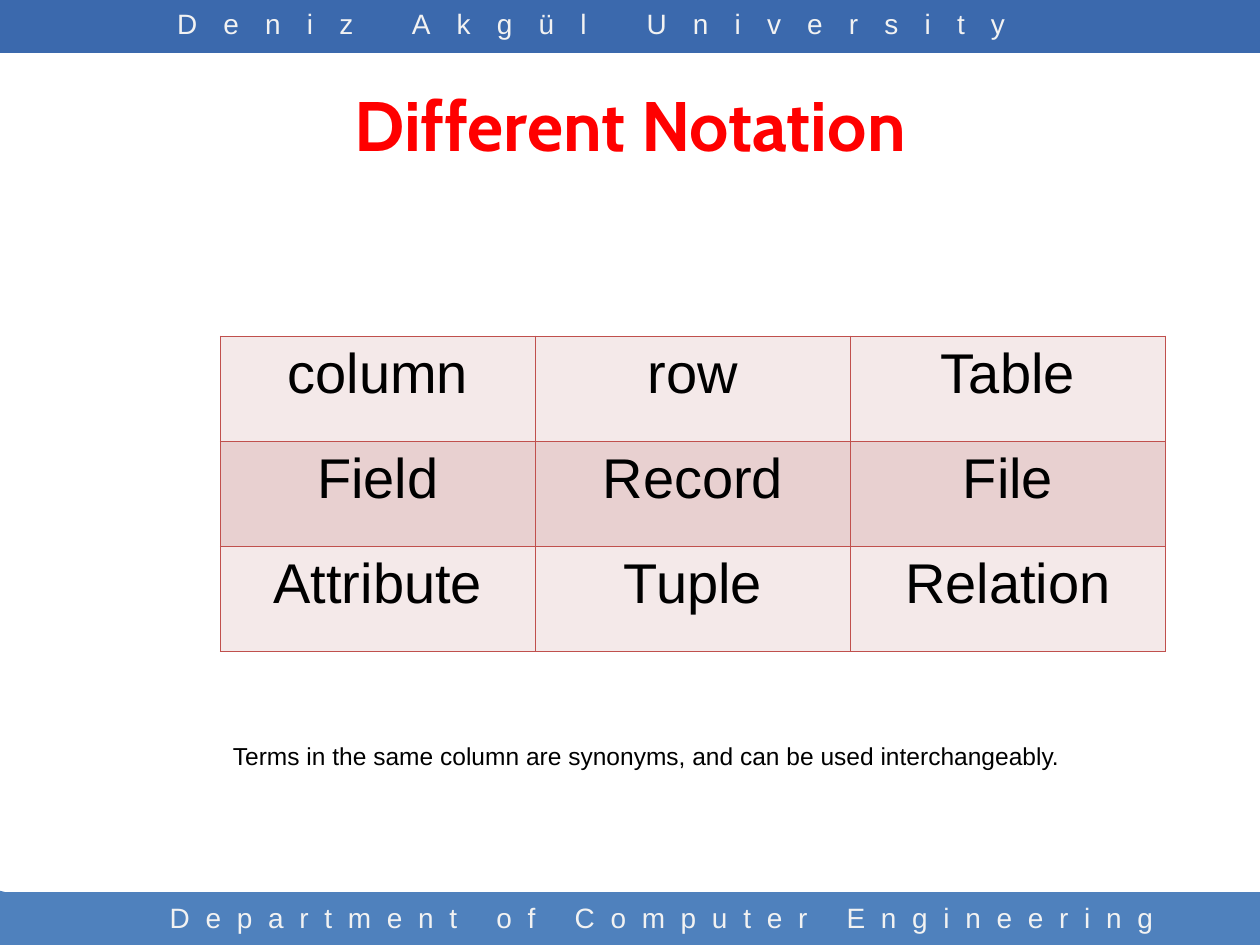
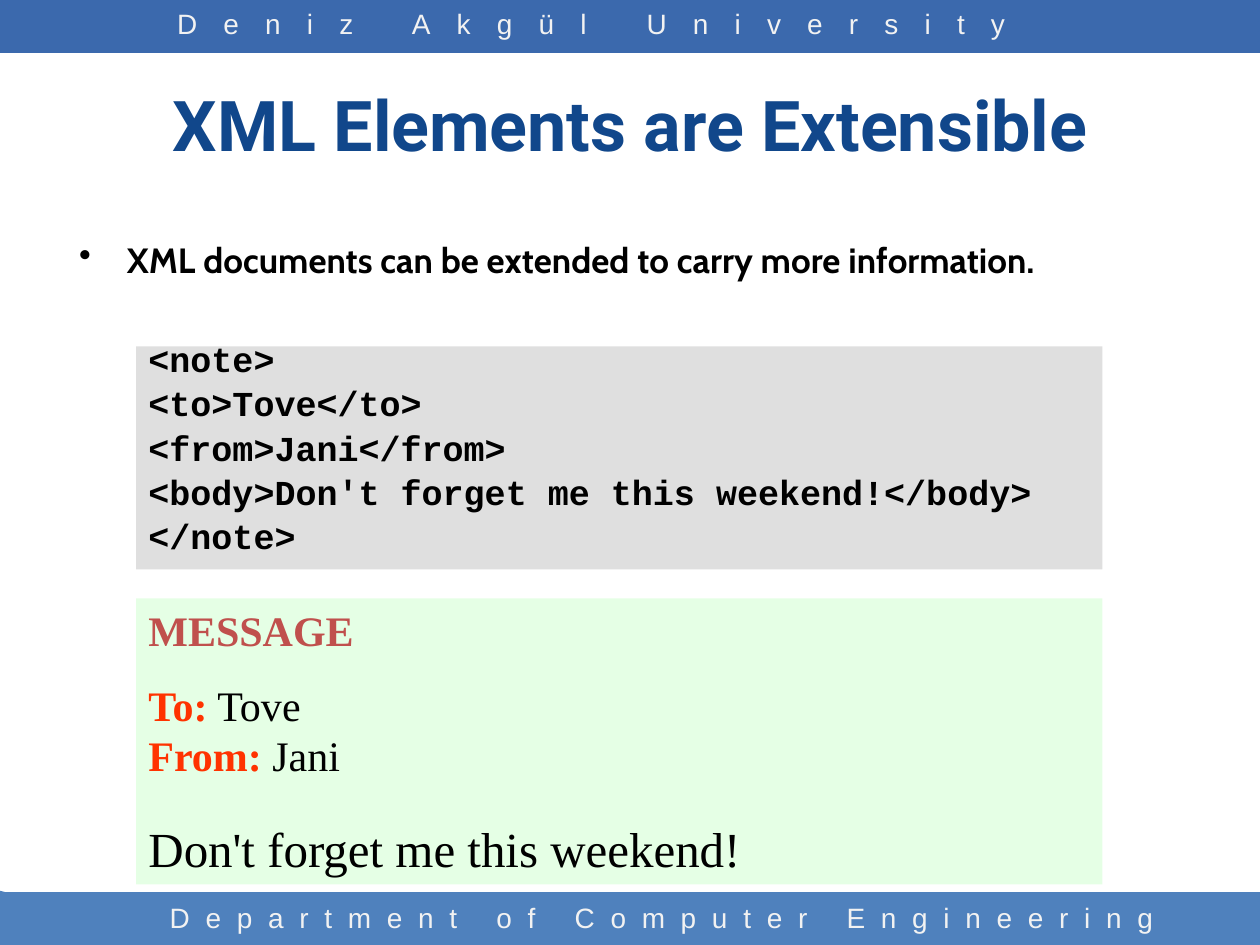
import dataclasses

import lxml.etree
import pptx
import pptx.dml.color
import pptx.enum.shapes
import pptx.enum.text
import pptx.oxml.ns
import pptx.util

Inches = pptx.util.Inches
Pt = pptx.util.Pt
qn = pptx.oxml.ns.qn
ALIGN = pptx.enum.text.PP_ALIGN


@dataclasses.dataclass(frozen=True)
class Theme:
    header: str = "3B69AD"
    footer: str = "4F81BD"
    band_text: str = "F2F2F2"
    text: str = "000000"
    red_title: str = "FF0000"
    blue_title: str = "11478B"
    accent: str = "C0504D"
    label: str = "FF3300"
    row_fills: tuple = ("F4E9E9", "E8D0D0")
    code_fill: str = "C0C0C0"
    message_fill: str = "CCFFCC"
    sans: str = "Arial"
    display: str = "Cabin"
    heading: str = "Roboto"
    mono: str = "Courier New"
    serif: str = "Times New Roman"
    title_size: int = 40
    table_size: int = 32
    closing_size: int = 28
    message_size: int = 24
    body_size: int = 20
    band_size: int = 16
    caption_size: int = 14


FOOTER_CORNERS = (
    ((0.88, 7.09), (0.92, 7.09), (0.92, 7.5), (0.47, 7.5)),
    ((0.04, 7.08), (0.46, 7.5), (0, 7.5), (0, 7.07)),
)


def rgb(color):
    return pptx.dml.color.RGBColor.from_string(color)


def style_font(font, name, size, color, bold=False):
    font.name = name
    font.size = Pt(size)
    font.color.rgb = rgb(color)
    font.bold = bold


class DeckBuilder:
    def __init__(self, theme):
        self.theme = theme
        self.deck = pptx.Presentation()
        self.deck.slide_width = Inches(10)
        self.deck.slide_height = Inches(7.5)
        self.page = None

    def start_page(self, title, font_name, color):
        theme = self.theme
        self.page = self.deck.slides.add_slide(self.deck.slide_layouts[5])
        self.band(0, theme.header)
        self.band(7.08, theme.footer)
        for corner in FOOTER_CORNERS:
            self.outline(corner, theme.footer)
        self.band_text("Department of Computer Engineering", (0.92, 7.1, 8.67, 0.4), 9)
        self.band_text("Deniz Akgül University", (0.65, 0, 8.09, 0.42), 15)
        self.title(title, font_name, color)

    def paint(self, shape, color):
        shape.shadow.inherit = False
        shape.fill.solid()
        shape.fill.fore_color.rgb = rgb(color)
        shape.line.fill.background()

    def band(self, top, color):
        shape = self.page.shapes.add_shape(
            pptx.enum.shapes.MSO_SHAPE.RECTANGLE,
            0, Inches(top), Inches(10), Inches(0.42))
        self.paint(shape, color)

    def outline(self, corners, color):
        points = [(Inches(x), Inches(y)) for x, y in corners]
        builder = self.page.shapes.build_freeform(*points[0])
        builder.add_line_segments(points[1:], close=True)
        self.paint(builder.convert_to_shape(), color)

    def text_box(self, place, wrap=True):
        box = self.page.shapes.add_textbox(*map(Inches, place))
        box.text_frame.word_wrap = wrap
        return box

    def band_text(self, text, place, spacing):
        theme = self.theme
        para = self.text_box(place).text_frame.paragraphs[0]
        para.text = text
        para.alignment = ALIGN.CENTER
        style_font(para.font, theme.sans, theme.band_size, theme.band_text)
        para._p.pPr.find(qn("a:defRPr")).set("spc", str(spacing * 100))

    def title(self, text, font_name, color):
        title = self.page.shapes.title
        title.left, title.top = Inches(0.5), Inches(0.41)
        title.width, title.height = Inches(9), Inches(1.14)
        title.text_frame.vertical_anchor = pptx.enum.text.MSO_ANCHOR.MIDDLE
        para = title.text_frame.paragraphs[0]
        para.text = text
        para.alignment = ALIGN.CENTER
        style_font(para.font, font_name, self.theme.title_size, color, True)

    def caption(self, text, place):
        para = self.text_box(place, wrap=False).text_frame.paragraphs[0]
        para.text = text
        style_font(para.font, self.theme.sans, self.theme.caption_size, self.theme.text)

    def bullet(self, text, place):
        theme = self.theme
        para = self.text_box(place).text_frame.paragraphs[0]
        para.text = text
        para.space_before = Pt(4)
        style_font(para.font, theme.display, theme.body_size, theme.text, True)
        properties = para._p.pPr
        properties.set("marL", str(Inches(0.38)))
        properties.set("indent", str(-Inches(0.38)))
        mark = lxml.etree.Element(qn("a:buChar"), char="•")
        properties.find(qn("a:defRPr")).addprevious(mark)

    def panel(self, place, color):
        box = self.text_box(place)
        box.fill.solid()
        box.fill.fore_color.rgb = rgb(color)
        swatch = box._element.spPr.find(".//" + qn("a:srgbClr"))
        lxml.etree.SubElement(swatch, qn("a:alpha"), val="50000")
        return box.text_frame

    def code(self, lines, place):
        theme = self.theme
        frame = self.panel(place, theme.code_fill)
        frame.text = "\n".join(lines)
        for para in frame.paragraphs:
            para.line_spacing = 0.6
            para.space_before = Pt(10.8)
            style_font(para.font, theme.mono, theme.body_size, theme.text, True)

    def message(self, heading, fields, closing, place):
        theme = self.theme
        frame = self.panel(place, theme.message_fill)
        head = frame.paragraphs[0]
        head.text = heading
        head.space_before = Pt(14)
        style_font(head.font, theme.serif, theme.message_size, theme.accent, True)

        details = frame.add_paragraph()
        details.space_before = Pt(14)
        details.space_after = Pt(5)
        for index, (label, value) in enumerate(fields):
            if index:
                details.add_line_break()
            for text, color, bold in ((label, theme.label, True),
                                      (" " + value, theme.text, False)):
                span = details.add_run()
                span.text = text
                style_font(span.font, theme.serif, theme.message_size, color, bold)

        last = frame.add_paragraph()
        last.text = closing
        last.space_before = Pt(16.8)
        style_font(last.font, theme.serif, theme.closing_size, theme.text)

    def table(self, rows, place):
        theme = self.theme
        table = self.page.shapes.add_table(
            len(rows), len(rows[0]), *map(Inches, place)).table
        table.first_row = False
        table.horz_banding = False
        for row_index, row in enumerate(rows):
            for column_index, text in enumerate(row):
                cell = table.cell(row_index, column_index)
                self.cell_borders(cell)
                cell.fill.solid()
                cell.fill.fore_color.rgb = rgb(theme.row_fills[row_index % 2])
                para = cell.text_frame.paragraphs[0]
                para.text = text
                para.alignment = ALIGN.CENTER
                style_font(para.font, theme.sans, theme.table_size, theme.text)

    def cell_borders(self, cell):
        properties = cell._tc.get_or_add_tcPr()
        for side in ("a:lnL", "a:lnR", "a:lnT", "a:lnB"):
            line = lxml.etree.SubElement(properties, qn(side), w=str(Pt(1)))
            fill = lxml.etree.SubElement(line, qn("a:solidFill"))
            lxml.etree.SubElement(fill, qn("a:srgbClr"), val=self.theme.accent)


def main():
    theme = Theme()
    builder = DeckBuilder(theme)

    builder.start_page("Different Notation", theme.display, theme.red_title)
    builder.table((("column", "row", "Table"),
                   ("Field", "Record", "File"),
                   ("Attribute", "Tuple", "Relation")), (1.75, 2.67, 7.5, 2.5))
    builder.caption(
        "Terms in the same column are synonyms, and can be used interchangeably.",
        (1.75, 5.83, 6.81, 0.34))

    builder.start_page("XML Elements are Extensible", theme.heading, theme.blue_title)
    builder.bullet("XML documents can be extended to carry more information.",
                   (0.53, 1.84, 9, 5.12))
    builder.code(("<note>", "<to>Tove</to>", "<from>Jani</from>",
                  "<body>Don't forget me this weekend!</body>", "</note>"),
                 (1.08, 2.75, 7.67, 1.77))
    builder.message("MESSAGE", (("To:", "Tove"), ("From:", "Jani")),
                    "Don't forget me this weekend!", (1.08, 4.75, 7.67, 2.27))

    builder.deck.save("out.pptx")


if __name__ == "__main__":
    main()
